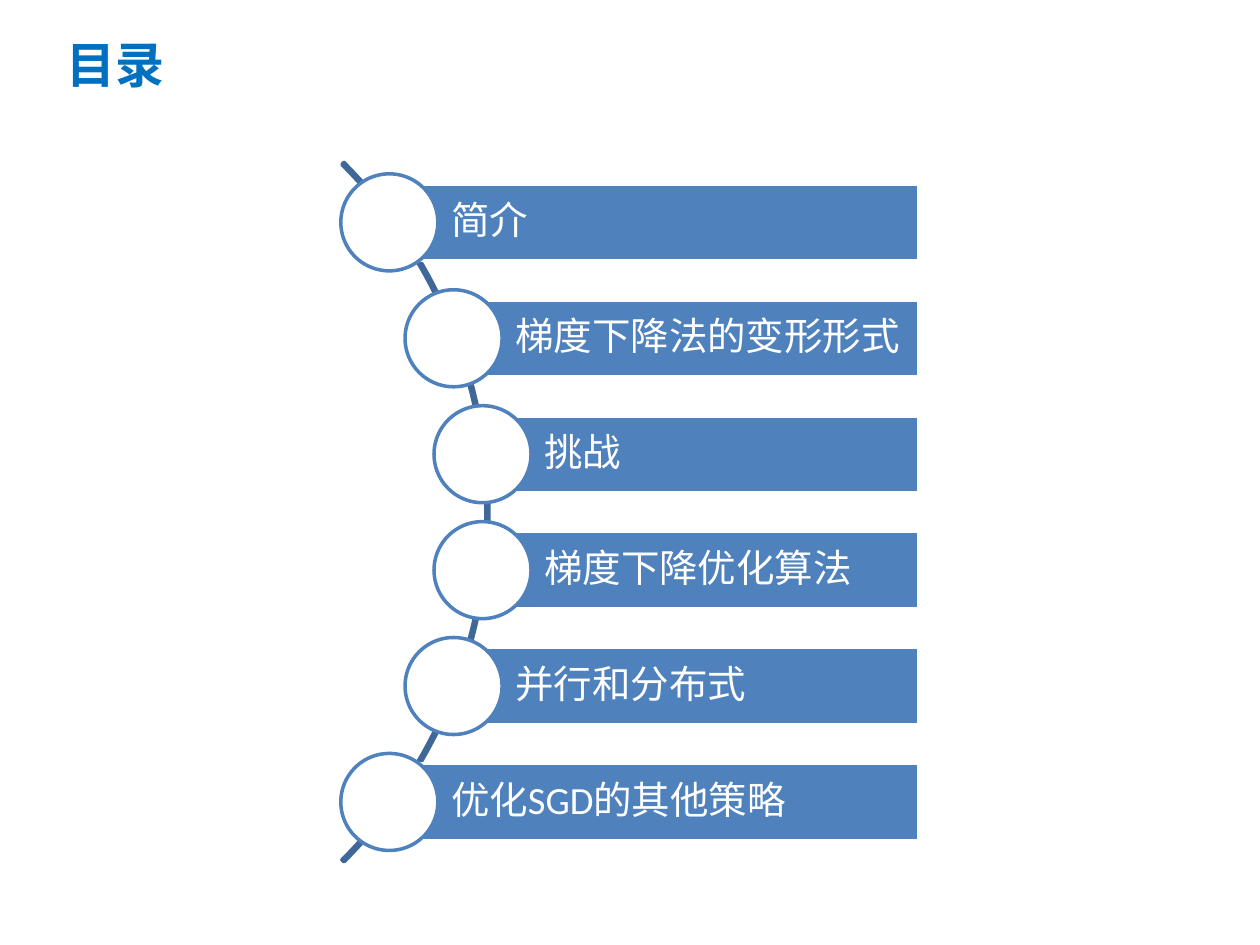
from lxml.etree import SubElement
from pptx import Presentation
from pptx.dml.color import RGBColor
from pptx.enum.shapes import MSO_SHAPE
from pptx.enum.text import MSO_ANCHOR, PP_ALIGN
from pptx.oxml.ns import qn
from pptx.util import Inches, Pt

TITLE_BLUE = RGBColor(0x00, 0x70, 0xC0)
BAR_BLUE = RGBColor(0x4F, 0x81, 0xBD)
ARC_BLUE = RGBColor(0x3F, 0x67, 0x97)
WHITE = RGBColor(0xFF, 0xFF, 0xFF)

FIRST_ROW, ROW_PITCH = 1.765, 0.92
BAR_RIGHT, BAR_HEIGHT = 7.29, 0.61
CIRCLE_SIZE = 0.77
ARC_SIZE, ARC_LEFT = 7.85, -3.97
TOPICS = [
    ("简介", 3.09),
    ("梯度下降法的变形形式", 3.6),
    ("挑战", 3.83),
    ("梯度下降优化算法", 3.83),
    ("并行和分布式", 3.6),
    ("优化SGD的其他策略", 3.09),
]


def write_text(shape, text, *, size, color, font="Calibri", east_asian=None,
               bold=False, spacing=None, insets=None):
    """Put one left-aligned, vertically centred paragraph into a shape."""
    frame = shape.text_frame
    frame.word_wrap = True
    frame.vertical_anchor = MSO_ANCHOR.MIDDLE
    if insets:
        (frame.margin_left, frame.margin_top,
         frame.margin_right, frame.margin_bottom) = map(Inches, insets)
    paragraph = frame.paragraphs[0]
    paragraph.alignment = PP_ALIGN.LEFT
    paragraph.line_spacing = spacing
    run = paragraph.add_run()
    run.text = text
    run.font.size, run.font.bold, run.font.name = Pt(size), bold, font
    run.font.color.rgb = color
    if east_asian:
        properties = run.font._element
        SubElement(properties, qn("a:ea")).set("typeface", east_asian)


def add_outlined_shape(slide, kind, left, top, width, height, line, fill=None):
    """Add a preset shape with a two-point outline and an optional fill."""
    shape = slide.shapes.add_shape(kind, *map(Inches, (left, top, width, height)))
    shape.shadow.inherit = False
    shape.line.color.rgb = line
    shape.line.width = Pt(2)
    if fill is None:
        shape.fill.background()
    else:
        shape.fill.solid()
        shape.fill.fore_color.rgb = fill
    return shape


def add_title(slide, text):
    """Place and format the title placeholder."""
    title = slide.shapes.title
    title.left, title.top, title.width, title.height = map(
        Inches, (0.43, 0.17, 8.89, 0.67))
    write_text(title, text, size=28, color=TITLE_BLUE, bold=True,
               font="Noto Sans CJK SC", east_asian="Noto Sans CJK SC")


def add_arc(slide):
    """Add the thin arc that links the circles, centred on the rows."""
    middle = FIRST_ROW + ROW_PITCH * (len(TOPICS) - 1) / 2
    arc = add_outlined_shape(slide, MSO_SHAPE.BLOCK_ARC, ARC_LEFT,
                             middle - ARC_SIZE / 2, ARC_SIZE, ARC_SIZE, ARC_BLUE)
    for index, value in enumerate((189, 27, 0.003)):
        arc.adjustments[index] = value


def add_topic(slide, row, text, left):
    """Add one bar with its label and the circle centred on its left edge."""
    middle = FIRST_ROW + row * ROW_PITCH
    bar = add_outlined_shape(slide, MSO_SHAPE.RECTANGLE, left, middle - BAR_HEIGHT / 2,
                             BAR_RIGHT - left, BAR_HEIGHT, WHITE, BAR_BLUE)
    write_text(bar, text, size=22, color=WHITE, spacing=0.9,
               insets=(0.49, 0.06, 0.06, 0.06))
    add_outlined_shape(slide, MSO_SHAPE.OVAL, left - CIRCLE_SIZE / 2,
                       middle - CIRCLE_SIZE / 2, CIRCLE_SIZE, CIRCLE_SIZE,
                       BAR_BLUE, WHITE)


def main():
    """Build the contents slide and save it."""
    presentation = Presentation()
    presentation.slide_width, presentation.slide_height = Inches(10), Inches(7.5)
    slide = presentation.slides.add_slide(presentation.slide_layouts[5])
    add_title(slide, "目录")
    add_arc(slide)
    for row, (text, left) in enumerate(TOPICS):
        add_topic(slide, row, text, left)
    presentation.save("out.pptx")


if __name__ == "__main__":
    main()
